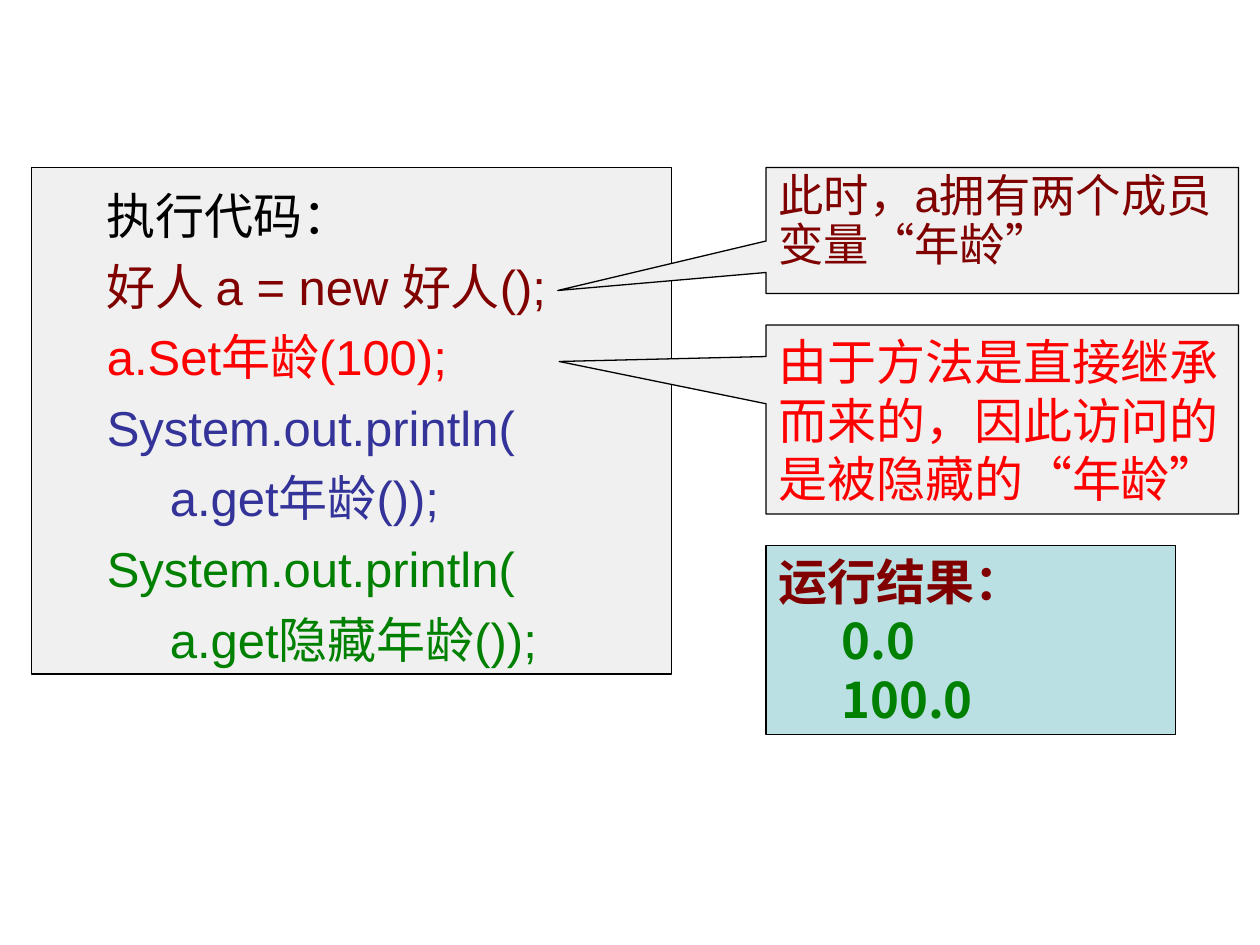
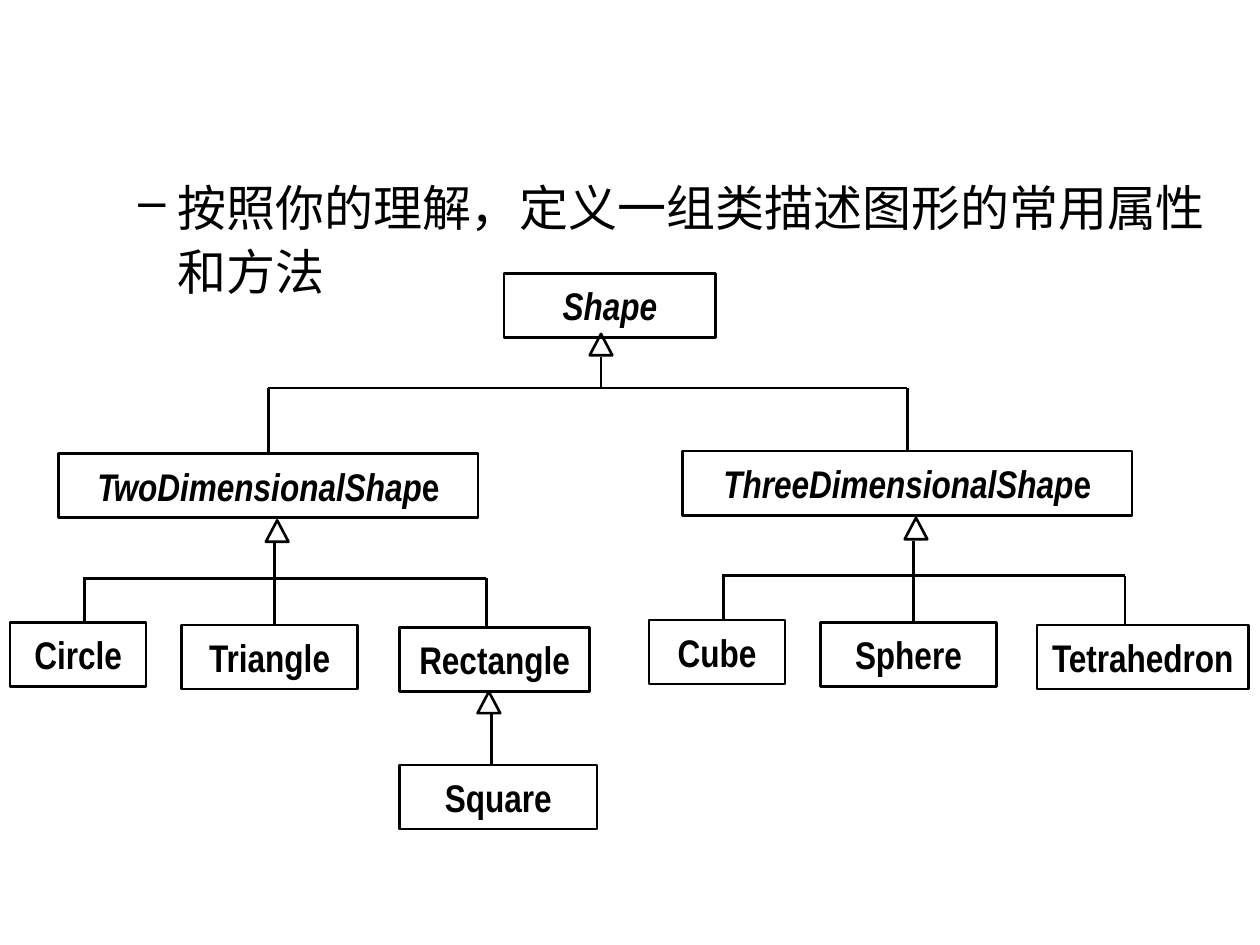
from lxml.etree import SubElement
from pptx import Presentation
from pptx.dml.color import RGBColor
from pptx.enum.shapes import MSO_CONNECTOR, MSO_SHAPE
from pptx.enum.text import MSO_ANCHOR, PP_ALIGN
from pptx.oxml.ns import qn
from pptx.util import Inches, Pt

BLACK, MAROON, RED = "000000", "800000", "FF0000"
INDIGO, GREEN = "333399", "008000"
PANEL, RESULT = "F0F0F0", "BBE0E3"
BODY = {"name": "Arial", "size": Pt(28)}
OUTPUT = {"name": "Noto Sans CJK SC", "size": Pt(28), "bold": True}
CLASS_NAME = {"name": "Arial Narrow", "size": Pt(22), "bold": True}
MARGINS = {"margin_left": Inches(0.1), "margin_right": Inches(0.1),
           "margin_top": Inches(0.05), "margin_bottom": Inches(0.05)}
CLASS_HEIGHT = 0.51


def color(hex_code):
    """Turn a hex string into a colour."""
    return RGBColor.from_string(hex_code)


def apply(target, values):
    """Set every attribute listed in a dict of format values."""
    for name, value in values.items():
        setattr(target, name, value)


def add_run(paragraph, text, font, hex_code):
    """Append a formatted run to a paragraph."""
    run = paragraph.add_run()
    run.text = text
    apply(run.font, font)
    run.font.color.rgb = color(hex_code)


def set_tabs(paragraph):
    """Put a left tab stop at each inch."""
    tabs = SubElement(paragraph._p.get_or_add_pPr(), qn("a:tabLst"))
    for inch in range(8):
        SubElement(tabs, qn("a:tab"), pos=str(Inches(inch)), algn="l")


def set_indent(paragraph, left, hanging=0):
    """Set the left margin and hanging indent in inches."""
    properties = paragraph._p.get_or_add_pPr()
    properties.set("marL", str(Inches(left)))
    properties.set("indent", str(-Inches(hanging)))


def add_outlined(slide, kind, box, weight, fill=None):
    """Draw a black-outlined shape in a box of inches."""
    shape = slide.shapes.add_shape(kind, *map(Inches, box))
    shape.shadow.inherit = False
    if fill:
        shape.fill.solid()
        shape.fill.fore_color.rgb = color(fill)
    else:
        shape.fill.background()
    shape.line.color.rgb = color(BLACK)
    shape.line.width = Pt(weight)
    return shape


def add_panel(slide, box, lines, font=BODY, kind=MSO_SHAPE.RECTANGLE,
              fill=PANEL, spacing=1.0, indent=0):
    """Draw a filled panel with one coloured paragraph per line."""
    panel = add_outlined(slide, kind, box, 0.75, fill)
    frame = panel.text_frame
    apply(frame, {**MARGINS, "word_wrap": True, "vertical_anchor": MSO_ANCHOR.TOP})
    for index, (text, hex_code) in enumerate(lines):
        paragraph = frame.add_paragraph() if index else frame.paragraphs[0]
        set_tabs(paragraph)
        set_indent(paragraph, indent)
        apply(paragraph, {"alignment": PP_ALIGN.LEFT, "line_spacing": spacing})
        add_run(paragraph, text, font, hex_code)
    return panel


def add_callout(slide, box, text, hex_code, pointer, font=BODY, spacing=1.0):
    """Draw a panel whose pointer reaches toward a line of code."""
    callout = add_panel(slide, box, [(text, hex_code)], font,
                        MSO_SHAPE.RECTANGULAR_CALLOUT, spacing=spacing)
    for index, offset in enumerate(pointer):
        callout.adjustments[index] = offset


def add_line(slide, start, end):
    """Draw a plain black connector between two points in inches."""
    line = slide.shapes.add_connector(MSO_CONNECTOR.STRAIGHT, *map(Inches, start + end))
    line.line.color.rgb = color(BLACK)
    line.line.width = Pt(1.5)
    SubElement(line._element.spPr, qn("a:effectLst"))
    return line


def add_class(slide, left, top, width, name, abstract=False):
    """Draw a class box; abstract names are italic."""
    box = add_outlined(slide, MSO_SHAPE.RECTANGLE, (left, top, width, CLASS_HEIGHT), 1.5)
    frame = box.text_frame
    apply(frame, {**MARGINS, "word_wrap": False, "vertical_anchor": MSO_ANCHOR.MIDDLE})
    paragraph = frame.paragraphs[0]
    paragraph.alignment = PP_ALIGN.CENTER
    italic_part, upright_part = name if abstract else ("", name)
    for text, italic in ((italic_part, True), (upright_part, False)):
        if text:
            add_run(paragraph, text, {**CLASS_NAME, "italic": italic}, BLACK)
    return box


def add_inheritance(slide, left, top, stem_x, stem_end):
    """Draw a hollow arrowhead with a stem running down from it."""
    add_outlined(slide, MSO_SHAPE.ISOSCELES_TRIANGLE, (left, top, 0.18, 0.17), 1.5)
    add_line(slide, (stem_x, top + 0.18), (stem_x, stem_end))


def add_family(slide, left, top, parent, parent_width, children):
    """Draw an abstract class above its three subclasses."""
    parent_box = add_class(slide, left + 2.05 - parent_width / 2, top,
                           parent_width, parent, True)
    bar_y, stem_x = top + 0.99, left + 2.1
    drops = (left + 0.59, stem_x, left + 3.78)
    for row, ((name, offset, width), drop) in enumerate(zip(children, drops)):
        child_top = top + 1.34 + 0.02 * row
        add_class(slide, left + offset, child_top, width, name)
        if drop != stem_x:
            add_line(slide, (drop, bar_y), (drop, child_top))
    add_line(slide, (drops[0] - 0.01, bar_y), (drops[-1], bar_y))
    add_inheritance(slide, left + 2.03, top + 0.53, stem_x, top + 1.36)
    return parent_box


def add_exercise(slide, box, text):
    """Write the dashed exercise sentence."""
    frame = slide.shapes.add_textbox(*map(Inches, box)).text_frame
    apply(frame, {**MARGINS, "word_wrap": True})
    paragraph = frame.paragraphs[0]
    properties = paragraph._p.get_or_add_pPr()
    dash_color = SubElement(properties, qn("a:buClr"))
    SubElement(dash_color, qn("a:srgbClr"), val=BLACK)
    SubElement(properties, qn("a:buChar"), char="–")
    set_indent(paragraph, 0.81, 0.31)
    paragraph.line_spacing = 1.1
    add_run(paragraph, text, BODY, BLACK)


def add_class_tree(slide, left, top):
    """Draw the Shape class hierarchy from its top left corner."""
    add_class(slide, left + 3.92, top, 1.68, ("Shape", ""), True)
    bar_y = top + 0.91
    add_inheritance(slide, left + 4.6, top + 0.48, left + 4.69, bar_y)
    families = (
        (0, 1.43, ("TwoDimensionalShap", "e"), 3.33,
         (("Circle", 0, 1.08), ("Triangle", 1.36, 1.4), ("Rectangle", 3.09, 1.51))),
        (5.07, 1.41, ("ThreeDimensionalShap", "e"), 3.57,
         (("Cube", 0, 1.08), ("Sphere", 1.36, 1.4), ("Tetrahedron", 3.08, 1.68))),
    )
    middles = []
    for offset, drop, parent, width, children in families:
        parent_box = add_family(slide, left + offset, top + drop, parent, width, children)
        middle = left + offset + 2.05
        branch = add_line(slide, (middle, bar_y), (middle, top + drop))
        branch.end_connect(parent_box, 0)
        middles.append(middle)
    add_line(slide, (middles[0], bar_y), (middles[1], bar_y))
    add_class(slide, left + 3.09, top + 3.9, 1.57, "Square")
    add_inheritance(slide, left + 3.71, top + 3.32, left + 3.82, top + 3.89)


def build_hidden_member_slide(slide):
    """Show the code, its two remarks and the output."""
    code = [("执行代码：", BLACK), ("好人 a = new 好人();", MAROON),
            ("a.Set年龄(100);", RED),
            ("System.out.println(", INDIGO), ("\ta.get年龄());", INDIGO),
            ("System.out.println(", GREEN), ("\ta.get隐藏年龄());", GREEN)]
    add_panel(slide, (0.25, 1.33, 5.08, 4.02), code, spacing=1.2, indent=0.5)
    add_callout(slide, (6.08, 1.33, 3.75, 1), "此时，a拥有两个成员变量“年龄”",
                MAROON, (-0.941, 0.476), {**BODY, "size": Pt(25.9)}, 0.9)
    add_callout(slide, (6.08, 2.58, 3.75, 1.5),
                "由于方法是直接继承而来的，因此访问的是被隐藏的“年龄”",
                RED, (-0.938, -0.307))
    output = [("运行结果：", MAROON), ("\t0.0", GREEN), ("\t100.0", GREEN)]
    add_panel(slide, (6.08, 4.33, 3.25, 1.5), output, OUTPUT, fill=RESULT)


def build_exercise_slide(slide):
    """Show the exercise and its class tree."""
    add_exercise(slide, (0.5, 1.31, 9.23, 1.19),
                 "按照你的理解，定义一组类描述图形的常用属性和方法")
    add_class_tree(slide, 0.08, 2.17)


def main():
    """Build and save the presentation."""
    deck = Presentation()
    apply(deck, {"slide_width": Inches(10), "slide_height": Inches(7.5)})
    for build in (build_hidden_member_slide, build_exercise_slide):
        build(deck.slides.add_slide(deck.slide_layouts[6]))
    deck.save("out.pptx")


if __name__ == "__main__":
    main()
